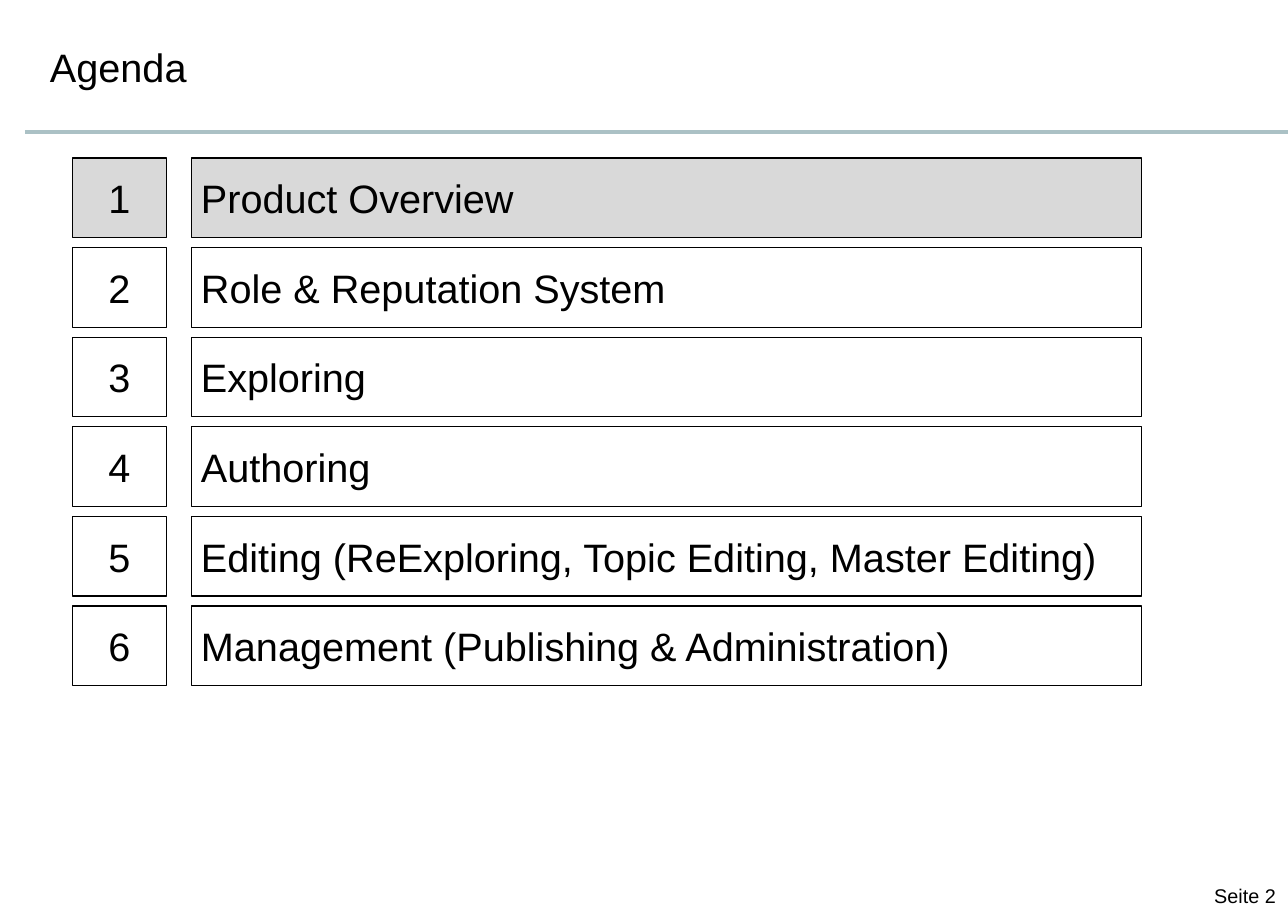
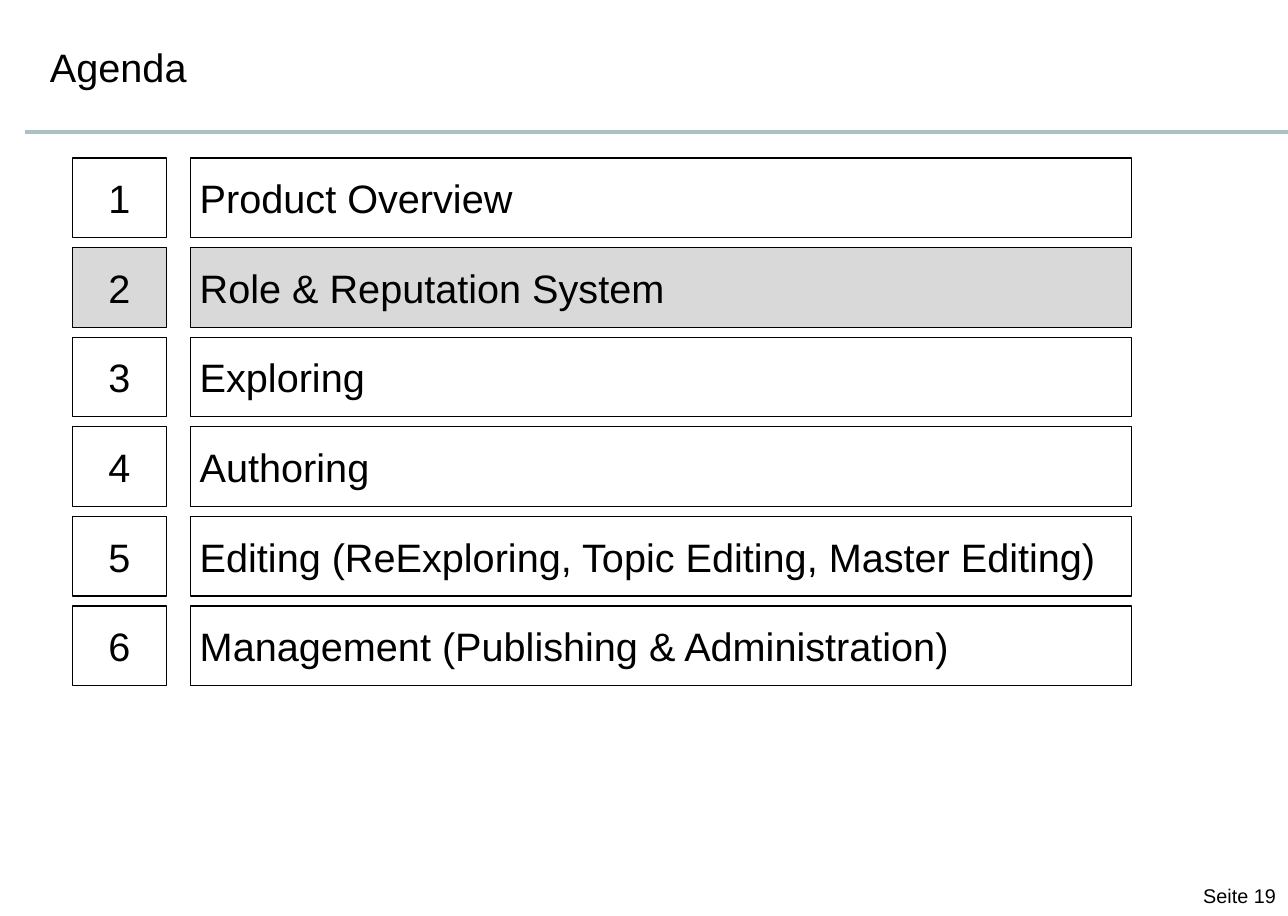
from dataclasses import dataclass

from lxml.etree import SubElement
from pptx import Presentation
from pptx.dml.color import RGBColor
from pptx.enum.shapes import MSO_CONNECTOR as Link, MSO_SHAPE as Shape
from pptx.enum.text import MSO_ANCHOR as Anchor, PP_ALIGN as Align
from pptx.oxml.ns import qn
from pptx.slide import Slide
from pptx.text.text import TextFrame
from pptx.util import Inches, Pt

# Shared look
BLACK = RGBColor(0x00, 0x00, 0x00)
GRAY = RGBColor(0xD9, 0xD9, 0xD9)
TEAL = RGBColor(0xAB, 0xC1, 0xC5)
FONT = "Arial"
WIDTH, HEIGHT = 780 / 72, 555 / 72  # 780 by 555 points, in inches

# Agenda grid, in inches
LEFT, TOP, LAST = 0.61, 1.33, 5.10
NUM_W, ROW_H = 0.79, 0.67
TOPICS = (
    "Product Overview",
    "Role & Reputation System",
    "Exploring",
    "Authoring",
    "Editing (ReExploring, Topic Editing, Master Editing)",
    "Management (Publishing & Administration)",
)
PITCH = (LAST - TOP) / (len(TOPICS) - 1)


@dataclass(frozen=True)
class Agenda:
    page: int
    active: int
    bar_x: float
    bar_w: float


AGENDAS = (
    Agenda(page=2, active=1, bar_x=1.61, bar_w=7.99),
    Agenda(page=19, active=2, bar_x=1.60, bar_w=7.92),
)


def write(frame: TextFrame, text: str, size: int, align: Align,
          anchor: Anchor, inset: float = 0.1) -> None:
    frame.text = text
    frame.word_wrap = True
    frame.vertical_anchor = anchor
    frame.margin_left = frame.margin_right = Inches(inset)
    frame.margin_top = frame.margin_bottom = Inches(0.05)
    line = frame.paragraphs[0]
    line.alignment = align
    font = line.runs[0].font
    font.name, font.size = FONT, Pt(size)
    font.color.rgb = BLACK


def add_frame(slide: Slide, title: str, page: int) -> None:
    # Title
    head = slide.shapes.title
    head.left, head.top = Inches(0.32), Inches(0.18)
    head.width, head.height = Inches(7.33), Inches(0.77)
    write(head.text_frame, title, 24, Align.LEFT, Anchor.MIDDLE)

    # Rule below the title
    rule = slide.shapes.add_connector(
        Link.STRAIGHT, Inches(0.21), Inches(1.11), Inches(WIDTH), Inches(1.11))
    rule.line.color.rgb = TEAL
    rule.line.width = Pt(2.25)
    SubElement(rule._element.spPr, qn("a:effectLst"))

    # Page number
    foot = slide.shapes.add_textbox(
        Inches(9.52), Inches(7.39), Inches(1.31), Inches(0.31))
    write(foot.text_frame, f"Seite {page}", 12, Align.RIGHT, Anchor.TOP)


def add_box(slide: Slide, x: float, y: float, width: float, text: str,
            align: Align, active: bool) -> None:
    box = slide.shapes.add_shape(
        Shape.RECTANGLE, Inches(x), Inches(y), Inches(width), Inches(ROW_H))
    box.shadow.inherit = False
    if active:
        box.fill.solid()
        box.fill.fore_color.rgb = GRAY
    else:
        box.fill.background()
    box.line.color.rgb = BLACK
    box.line.width = Pt(0.75)
    write(box.text_frame, text, 24, align, Anchor.MIDDLE, inset=0.08)


def add_agenda(slide: Slide, agenda: Agenda) -> None:
    add_frame(slide, "Agenda", agenda.page)
    for num, topic in enumerate(TOPICS, start=1):
        y = TOP + (num - 1) * PITCH
        active = num == agenda.active
        add_box(slide, agenda.bar_x, y, agenda.bar_w, topic, Align.LEFT, active)
        add_box(slide, LEFT, y, NUM_W, str(num), Align.CENTER, active)


def main() -> None:
    deck = Presentation()
    deck.slide_width, deck.slide_height = Inches(WIDTH), Inches(HEIGHT)
    layout = deck.slide_layouts.get_by_name("Title Only")
    for agenda in AGENDAS:
        add_agenda(deck.slides.add_slide(layout), agenda)
    deck.save("out.pptx")


if __name__ == "__main__":
    main()
